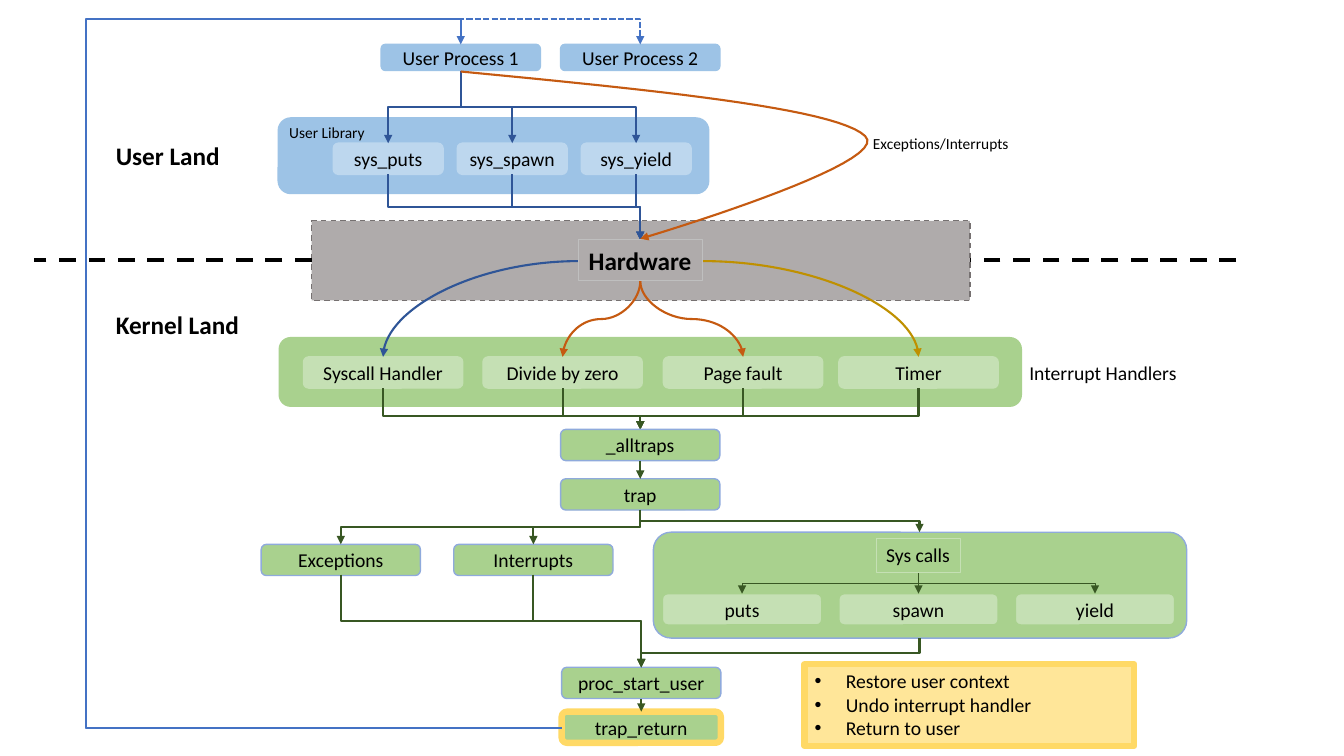
from lxml.etree import SubElement
from pptx import Presentation
from pptx.dml.color import RGBColor
from pptx.enum.dml import MSO_LINE as Dash
from pptx.enum.shapes import MSO_CONNECTOR as Link, MSO_SHAPE as Shape
from pptx.enum.text import MSO_ANCHOR as Anchor, MSO_AUTO_SIZE as AutoSize, PP_ALIGN as Align
from pptx.oxml.ns import qn
from pptx.util import Inches, Pt

BLACK = "000000"
SKY, PALE_SKY, NAVY, BLUE = "9DC3E6", "BDD7EE", "2F5597", "4472C4"
GREEN, PALE_GREEN, FOREST, EDGE = "A9D18E", "C5E0B4", "385723", "8FAADC"
GRAY, RUST, GOLD, YELLOW = "AFABAB", "C55A11", "BF9000", "FFD966"
NODE_WIDTH, NODE_HEIGHT = 1.58, 0.31
CENTER = 6.35


def paint(fill, color):
    if color is None:
        fill.background()
    else:
        fill.solid()
        fill.fore_color.rgb = RGBColor.from_string(color)


def outline(line, color, width=1, dash=None):
    paint(line.fill, color)
    line.width = Pt(width)
    if dash is not None:
        line.dash_style = dash


def write(frame, lines, size=14, bold=False, align=Align.LEFT, anchor=Anchor.TOP, wrap=False):
    frame.word_wrap = wrap
    frame.auto_size = AutoSize.NONE
    frame.vertical_anchor = anchor
    for index, text in enumerate(lines):
        paragraph = frame.add_paragraph() if index else frame.paragraphs[0]
        paragraph.alignment = align
        paragraph.space_before = Pt(0)
        run = paragraph.add_run()
        run.text = text
        run.font.name = "Calibri"
        run.font.size = Pt(size)
        run.font.bold = bold
        paint(run.font.fill, BLACK)


def add_panel(slide, box, fill, line, width=1, dash=None, kind=Shape.ROUNDED_RECTANGLE):
    shape = slide.shapes.add_shape(kind, *map(Inches, box))
    shape.shadow.inherit = False
    paint(shape.fill, fill)
    outline(shape.line, line, width, dash)
    return shape


def add_node(slide, text, center, top, fill, line, width=NODE_WIDTH, height=NODE_HEIGHT, border=1):
    shape = add_panel(slide, (center - width / 2, top, width, height), fill, line, border)
    write(shape.text_frame, [text], align=Align.CENTER, anchor=Anchor.MIDDLE, wrap=True)


def add_label(slide, text, box, **style):
    write(slide.shapes.add_textbox(*map(Inches, box)).text_frame, [text], **style)


def add_tag(slide, text, box, fill, line, **style):
    shape = add_panel(slide, box, fill, line, 0.75, kind=Shape.RECTANGLE)
    write(shape.text_frame, [text], **style)


def add_arrowhead(shape):
    SubElement(shape.element.spPr.find(qn("a:ln")), qn("a:tailEnd"), type="triangle")


def add_line(slide, start, end, color, width=1.5, dash=None, kind=Link.STRAIGHT, arrow=True):
    connector = slide.shapes.add_connector(kind, *map(Inches, (*start, *end)))
    outline(connector.line, color, width, dash)
    if arrow:
        add_arrowhead(connector)
    SubElement(connector.element.spPr, qn("a:effectLst"))
    return connector


def set_geometry(connector, preset, bends=()):
    geometry = connector.element.spPr.find(qn("a:prstGeom"))
    geometry.set("prst", preset)
    for index, bend in enumerate(bends, 1):
        SubElement(geometry.find(qn("a:avLst")), qn("a:gd"),
                   name=f"adj{index}", fmla=f"val {round(bend * 100000)}")


def turn(connector, degrees, mirrored):
    transform = connector.element.spPr.find(qn("a:xfrm"))
    transform.set("rot", str(degrees * 60000))
    if mirrored:
        transform.set("flipH", "1")


def add_drop(slide, start, end, color, width=1.5, bend=0.5, curved=False):
    (x1, y1), (x2, y2) = start, end
    across, down = abs(x2 - x1), y2 - y1
    left, top = (x1 + x2 - down) / 2, (y1 + y2 - across) / 2
    connector = add_line(slide, (left, top), (left + down, top + across), color, width,
                         kind=Link.CURVE if curved else Link.ELBOW)
    set_geometry(connector, "curvedConnector3" if curved else "bentConnector3", [bend])
    rightward = x2 > x1
    turn(connector, 270 if rightward else 90, rightward)


def add_return_loop(slide, target, dash=None):
    left, top, bottom, start = 0.85, 0.44, 7.22, 5.57
    low, high = sorted((start, target))
    connector = add_line(slide, (low, top), (high, bottom), BLUE, dash=dash, kind=Link.ELBOW)
    set_geometry(connector, "bentConnector4",
                 [(left - start) / (target - start), (bottom - 0.19) / (bottom - top)])
    turn(connector, 180, target > start)


def add_arc(slide, start, end, color):
    set_geometry(add_line(slide, start, end, color, kind=Link.CURVE), "curvedConnector2")


def add_swoop(slide, curves, color, steps=24):
    points = [curves[0][0]]
    for curve in curves:
        for step in range(1, steps + 1):
            t = step / steps
            weights = ((1 - t) ** 3, 3 * t * (1 - t) ** 2, 3 * t * t * (1 - t), t ** 3)
            points.append(tuple(sum(w * p[axis] for w, p in zip(weights, curve)) for axis in (0, 1)))
    points = [(Inches(x), Inches(y)) for x, y in points]
    builder = slide.shapes.build_freeform(*points[0])
    builder.add_line_segments(points[1:], close=False)
    shape = builder.convert_to_shape()
    shape.shadow.inherit = False
    paint(shape.fill, None)
    outline(shape.line, color, 1.5)
    add_arrowhead(shape)


def add_return_notes(slide, lines):
    body = slide.placeholders[1]
    body.left, body.top, body.width, body.height = map(Inches, (7.98, 6.59, 3.27, 0.81))
    paint(body.fill, "FFE699")
    outline(body.line, YELLOW, 4.5)
    write(body.text_frame, lines, wrap=True)
    for paragraph in body.text_frame.paragraphs:
        properties = paragraph._p.get_or_add_pPr()
        properties.set("marL", str(Inches(0.31)))
        properties.set("indent", str(-Inches(0.31)))
        SubElement(properties, qn("a:buFont"), typeface="Arial")
        SubElement(properties, qn("a:buChar"), char="•")


def main():
    presentation = Presentation()
    presentation.slide_width, presentation.slide_height = Inches(13.33), Inches(7.5)
    slide = presentation.slides.add_slide(presentation.slide_layouts[1])
    title = slide.shapes.title.element
    title.getparent().remove(title)
    add_return_notes(slide, ["Restore user context", "Undo interrupt handler", "Return to user"])

    add_panel(slide, (2.76, 1.17, 4.27, 0.75), SKY, SKY)
    add_panel(slide, (3.09, 2.19, 6.53, 0.79), GRAY, "767171", dash=Dash.DASH, kind=Shape.RECTANGLE)
    add_panel(slide, (2.77, 3.35, 7.36, 0.68), GREEN, GREEN)
    add_panel(slide, (6.48, 5.28, 5.29, 1.05), GREEN, EDGE)
    for start, end in ((3.09, 0.34), (12.26, 9.62)):
        add_line(slide, (start, 2.58), (end, 2.58), BLACK, 3, Dash.DASH, arrow=False)

    for text, center in (("User Process 1", 4.57), ("User Process 2", CENTER)):
        add_node(slide, text, center, 0.44, SKY, SKY, height=0.26)
    for index, text in enumerate(("sys_puts", "sys_spawn", "sys_yield")):
        center = 3.85 + 1.23 * index
        add_node(slide, text, center, 1.42, PALE_SKY, PALE_SKY, width=1.09)
        add_drop(slide, (4.57, 0.7), (center, 1.42), NAVY)
        add_drop(slide, (center, 1.73), (CENTER, 2.38), NAVY)

    handlers = {"Syscall Handler": 3.8, "Divide by zero": 5.58, "Page fault": 7.37, "Timer": 9.11}
    for text, center in handlers.items():
        add_node(slide, text, center, 3.54, PALE_GREEN, PALE_GREEN)
        add_drop(slide, (center, 3.85), (CENTER, 4.26), FOREST, bend=0.68)
    add_arc(slide, (5.74, 2.59), (handlers["Syscall Handler"], 3.54), NAVY)
    add_arc(slide, (6.97, 2.59), (handlers["Timer"], 3.54), GOLD)
    for fault in ("Divide by zero", "Page fault"):
        add_drop(slide, (CENTER, 2.79), (handlers[fault], 3.54), RUST, curved=True)

    for text, center, top in (("_alltraps", CENTER, 4.26), ("trap", CENTER, 4.75),
                              ("Exceptions", 3.38, 5.4), ("Interrupts", 5.29, 5.4),
                              ("proc_start_user", 6.36, 6.62)):
        add_node(slide, text, center, top, GREEN, EDGE)
    add_node(slide, "trap_return", 6.36, 7.06, GREEN, YELLOW, border=4.5)
    add_line(slide, (CENTER, 4.57), (CENTER, 4.75), FOREST)
    add_line(slide, (6.36, 6.93), (6.36, 7.06), FOREST)
    for center, top, bottom in ((3.38, 5.4, 5.7), (5.29, 5.4, 5.7), (9.12, 5.28, 6.33)):
        add_drop(slide, (CENTER, 5.06), (center, top), FOREST)
        add_drop(slide, (center, bottom), (6.36, 6.62), FOREST)

    for text, center in (("puts", 7.36), ("spawn", 9.11), ("yield", 10.86)):
        add_node(slide, text, center, 5.89, PALE_GREEN, GREEN)
        if center == 9.11:
            add_line(slide, (center, 5.68), (center, 5.89), FOREST, 0.5)
        else:
            add_drop(slide, (9.11, 5.68), (center, 5.89), FOREST, 0.5)

    add_return_loop(slide, 4.57)
    add_return_loop(slide, CENTER, Dash.SQUARE_DOT)
    add_tag(slide, "Sys calls", (8.69, 5.34, 0.84, 0.34), None, PALE_GREEN)
    add_tag(slide, "Hardware", (5.74, 2.38, 1.23, 0.4), GRAY, "BFBFBF", size=18, bold=True)
    add_swoop(slide, [((4.57, 0.71), (6.43, 0.89), (8.29, 1.07), (8.58, 1.35)),
                      ((8.58, 1.35), (8.88, 1.62), (6.35, 2.37), (6.35, 2.37))], RUST)

    add_label(slide, "User Land", (1.05, 1.34, 1.24, 0.4), size=18, bold=True)
    add_label(slide, "Kernel Land", (1.05, 3.02, 1.43, 0.4), size=18, bold=True)
    add_label(slide, "User Library", (2.77, 1.17, 0.96, 0.29), size=11)
    add_label(slide, "Exceptions/Interrupts", (8.56, 1.28, 1.56, 0.29), size=11)
    add_label(slide, "Interrupt Handlers", (10.11, 3.53, 1.68, 0.34))
    presentation.save("out.pptx")


if __name__ == "__main__":
    main()
